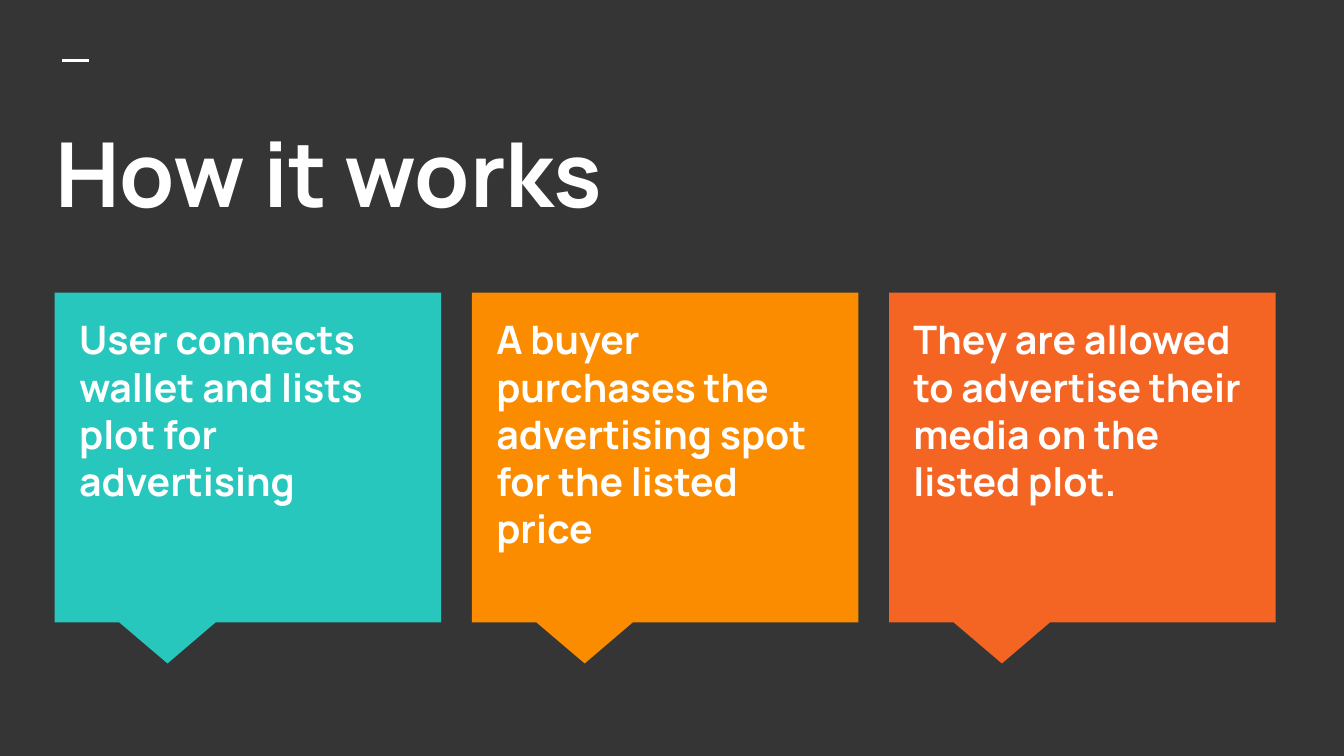
from typing import NamedTuple

from lxml.etree import SubElement
from pptx import Presentation
from pptx.dml.color import RGBColor
from pptx.enum.shapes import MSO_CONNECTOR as Link, MSO_SHAPE as Form
from pptx.enum.text import MSO_ANCHOR as Anchor, MSO_AUTO_SIZE as Fit, PP_ALIGN as Align
from pptx.oxml.ns import qn
from pptx.util import Pt

WHITE = "FFFFFF"
LEFT, TOP, STEP = 29.3, 156.8, 223.5
WIDE, HIGH = 207, 176.6
INSET = Pt(7.2)


class Card(NamedTuple):
    text: str
    fill: str


CARDS = [
    Card("User connects wallet and lists plot for advertising", "27C7BD"),
    Card("A buyer purchases the advertising spot for the listed price", "FB8C00"),
    Card("They are allowed to advertise their media on the listed plot.", "F46524"),
]


def color(code: str) -> RGBColor:
    return RGBColor.from_string(code)


def apply(item, values: dict) -> None:
    for name, value in values.items():
        setattr(item, name, value)


def place(shape, x: float, y: float, w: float, h: float) -> None:
    apply(shape, {"left": Pt(x), "top": Pt(y), "width": Pt(w), "height": Pt(h)})


def write(shape, text: str, size: float, after: float = 0) -> None:
    frame = shape.text_frame
    frame.text = text
    apply(frame, {
        "word_wrap": True, "auto_size": Fit.NONE, "vertical_anchor": Anchor.TOP,
        "margin_left": INSET, "margin_right": INSET,
        "margin_top": INSET, "margin_bottom": INSET,
    })
    line = frame.paragraphs[0]
    apply(line, {"alignment": Align.LEFT, "space_after": Pt(after)})
    font = line.runs[0].font
    apply(font, {"name": "Manrope", "size": Pt(size), "bold": True})
    font.color.rgb = color(WHITE)


def draw_dash(slide) -> None:
    dash = slide.shapes.add_connector(Link.STRAIGHT, Pt(33.3), Pt(32.5), Pt(47.9), Pt(32.5))
    dash.line.color.rgb = color(WHITE)
    dash.line.width = Pt(1.5)
    SubElement(dash._element.spPr, qn("a:effectLst"))


def draw_card(slide, card: Card, x: float) -> None:
    box = slide.shapes.add_shape(
        Form.RECTANGULAR_CALLOUT, Pt(x), Pt(TOP), Pt(WIDE), Pt(HIGH))
    box.adjustments[0], box.adjustments[1] = -0.208, 0.625
    box.shadow.inherit = False
    box.fill.solid()
    box.fill.fore_color.rgb = color(card.fill)
    box.line.fill.background()
    label = slide.shapes.add_textbox(Pt(x + 6), Pt(162), Pt(195), Pt(158))
    write(label, card.text, 21, 12)


def main() -> None:
    deck = Presentation()
    apply(deck, {"slide_width": Pt(720), "slide_height": Pt(405)})
    slide = deck.slides.add_slide(deck.slide_layouts.get_by_name("Title Only"))

    # Background and accent dash
    back = slide.background.fill
    back.solid()
    back.fore_color.rgb = color("353535")
    draw_dash(slide)

    # Title
    title = slide.shapes.title
    place(title, 22.3, 56.2, 679, 80.6)
    write(title, "How it works", 48)

    # Step cards
    for i, card in enumerate(CARDS):
        draw_card(slide, card, LEFT + i * STEP)

    deck.save("out.pptx")


if __name__ == "__main__":
    main()
